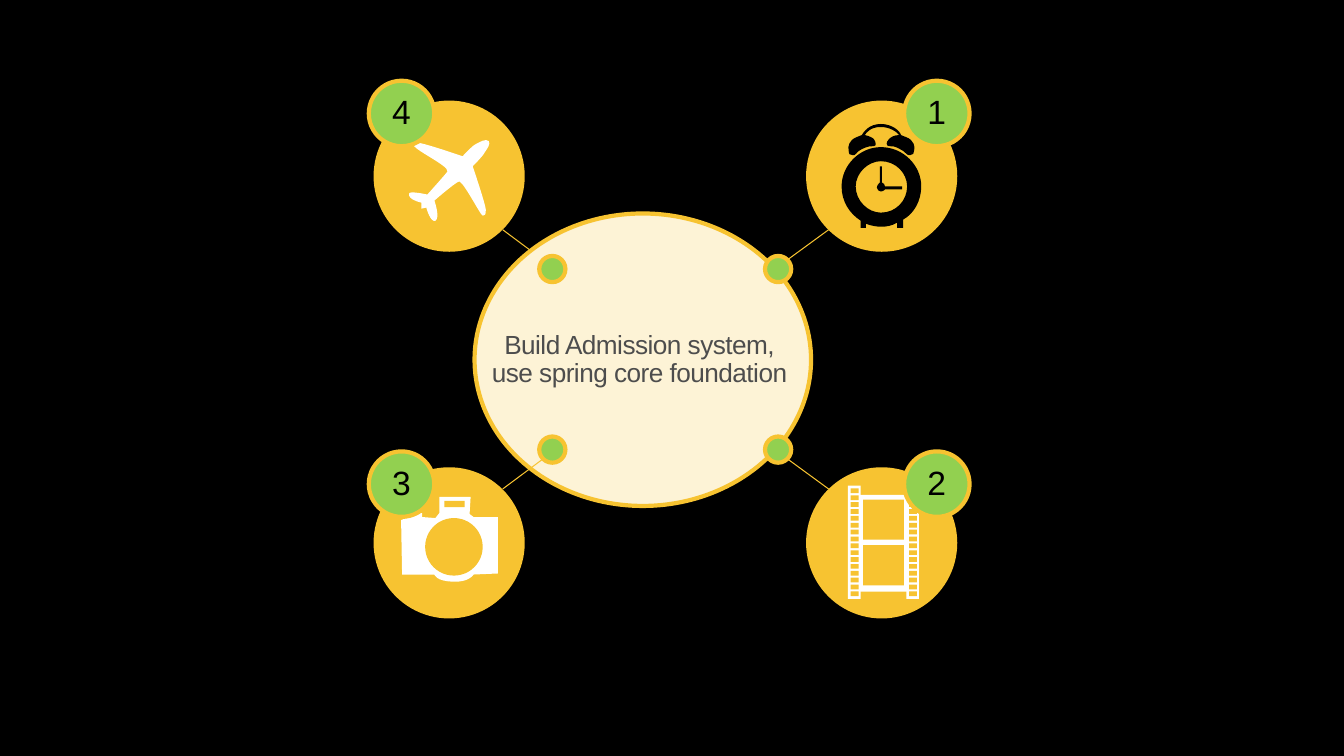
from dataclasses import dataclass

from lxml.etree import SubElement
from pptx import Presentation
from pptx.dml.color import RGBColor
from pptx.enum.shapes import MSO_CONNECTOR, MSO_SHAPE
from pptx.enum.text import MSO_ANCHOR, PP_ALIGN
from pptx.oxml.ns import qn
from pptx.util import Cm, Pt

# Content: centre message and the four numbered corners (column, row)
MESSAGE = ("Build Admission system, ", "use spring core foundation ")
BADGES = (("1", 1, 0), ("2", 1, 1), ("3", 0, 1), ("4", 0, 0))
CORNERS = ((0, 0), (1, 0), (0, 1), (1, 1))

# Icon outlines in steps of 0.0254 cm: a start point, then lines (x, y)
# or curves (x1, y1, x2, y2, x, y)
PLANE = [[
    (410, 143), (410, 143, 411, 141, 416, 142), (421, 142, 459, 155, 459, 155),
    (459, 155, 468, 145, 472, 143), (476, 141, 482, 137, 485, 140),
    (487, 143, 483, 148, 481, 151), (480, 154, 469, 165, 469, 165),
    (469, 165, 483, 206, 482, 209), (482, 213, 481, 214, 479, 214),
    (477, 214, 462, 184, 456, 180), (454, 179, 431, 199, 431, 199),
    (431, 199, 437, 216, 432, 219), (427, 221, 423, 206, 423, 206),
    (418, 207), (418, 201), (418, 201, 404, 198, 406, 192),
    (406, 189, 424, 193, 424, 193), (424, 193, 443, 172, 444, 170),
    (445, 164, 409, 148, 410, 143),
]]
CLOCK_BELLS = [[
    (846, 154), (849, 155, 850, 150, 855, 148), (861, 145, 864, 145, 867, 145),
    (870, 145, 869, 141, 867, 138), (866, 137, 863, 135, 858, 134),
    (860, 131, 864, 126, 874, 126), (883, 126, 890, 131, 892, 134),
    (886, 134, 883, 137, 882, 138), (879, 141, 879, 145, 882, 145),
    (885, 145, 888, 145, 893, 148), (898, 150, 900, 155, 903, 154),
    (906, 154, 907, 152, 907, 149), (908, 146, 907, 139, 899, 136),
    (897, 135, 895, 135, 894, 134), (893, 130, 885, 123, 874, 123),
    (862, 123, 857, 131, 855, 134), (853, 135, 852, 135, 850, 136),
    (842, 139, 841, 146, 842, 149), (842, 153, 843, 154, 846, 154),
]]
CLOCK_CASE = [
    [(874, 146), (853, 146, 835, 164, 835, 185), (835, 200, 843, 212, 854, 219),
     (854, 226), (859, 226), (859, 222), (864, 224, 870, 225, 874, 225),
     (880, 225, 885, 224, 890, 221), (890, 226), (896, 226), (896, 218),
     (907, 212, 914, 199, 914, 185), (914, 164, 896, 146, 874, 146)],
    [(874, 211), (861, 211, 849, 199, 849, 185), (849, 172, 861, 160, 874, 160),
     (889, 160, 900, 172, 900, 185), (900, 199, 889, 211, 874, 211)],
]
CLOCK_HANDS = [[
    (875, 181), (875, 165), (873, 165), (873, 181), (871, 183, 870, 184, 870, 186),
    (870, 188, 872, 190, 874, 190), (876, 190, 877, 189, 878, 188),
    (895, 188), (895, 185), (878, 185), (878, 183, 877, 182, 875, 181),
]]
CAMERA_BODY = [[
    (398, 516), (403, 514), (407, 513), (407, 509), (419, 509), (419, 513),
    (432, 514), (436, 509), (436, 493), (467, 493), (466, 510), (470, 513),
    (494, 513), (494, 569), (470, 570), (470, 570, 465, 578, 450, 577),
    (433, 577, 431, 570, 431, 570), (399, 570),
]]

# Geometry in cm: centre positions by column and by row
OUTLINE_STEP = 0.0254
DISC_X, DISC_Y, DISC_SIZE = (11.32, 22.22), (4.44, 13.68), 3.81
BADGE_X, BADGE_Y, BADGE_SIZE = (10.12, 23.61), (2.86, 12.2), 1.65
DOT_X, DOT_Y, DOT_SIZE = (13.92, 19.61), (6.78, 11.33), 0.66
LINK_OUTER_X, LINK_INNER_X = (12.67, 20.88), (13.69, 19.84)
LINK_OUTER_Y, LINK_INNER_Y = (5.79, 12.32), (6.55, 11.56)
HUB = (11.96, 5.38, 8.48, 7.37)


@dataclass(frozen=True)
class Theme:
    background: RGBColor = RGBColor(0, 0, 0)
    black: RGBColor = RGBColor(0, 0, 0)
    white: RGBColor = RGBColor(0xFF, 0xFF, 0xFF)
    amber: RGBColor = RGBColor(0xF7, 0xC3, 0x31)
    cream: RGBColor = RGBColor(0xFD, 0xF3, 0xD6)
    green: RGBColor = RGBColor(0x92, 0xD0, 0x50)
    grey: RGBColor = RGBColor(0x4D, 0x4D, 0x4D)
    font: str = "Arial"
    message_size: float = 18.67
    badge_size: float = 24
    tracking: str = "-33"
    border: float = 3
    link: float = 0.75


THEME = Theme()


def paint(shape, fill, border=None):
    shape.shadow.inherit = False
    shape.fill.solid()
    shape.fill.fore_color.rgb = fill
    if border is None:
        shape.line.fill.background()
    else:
        shape.line.color.rgb = border
        shape.line.width = Pt(THEME.border)
    return shape


def add_box(shapes, kind, box, fill, border=None):
    return paint(shapes.add_shape(kind, *map(Cm, box)), fill, border)


def add_circle(shapes, x, y, size, fill, border=None):
    box = (x - size / 2, y - size / 2, size, size)
    return add_box(shapes, MSO_SHAPE.OVAL, box, fill, border)


def place(point):
    return tuple(Cm(value * OUTLINE_STEP) for value in point)


def add_outline(shapes, contours, fill):
    """Build the outline from its corner points, then bend the curved segments."""
    first, *holes = [[place(segment[-2:]) for segment in contour] for contour in contours]
    builder = shapes.build_freeform(*first[0])
    builder.add_line_segments(first[1:])
    for hole in holes:
        builder.move_to(*hole[0])
        builder.add_line_segments(hole[1:])
    outline = paint(builder.convert_to_shape(), fill)

    segments = [segment for contour in contours for segment in contour[1:]]
    edges = list(outline._element.iter(qn("a:lnTo")))
    for edge, segment in zip(edges, segments):
        if len(segment) == 2:
            continue
        edge_end = edge[0]
        curve = SubElement(edge.getparent(), qn("a:cubicBezTo"))
        for control in (segment[:2], segment[2:4]):
            x, y = place(control)
            SubElement(curve, qn("a:pt"), x=str(x - outline.left), y=str(y - outline.top))
        curve.append(edge_end)
        edge.getparent().replace(edge, curve)


def write(shape, lines, size, color):
    frame = shape.text_frame
    frame.margin_left = frame.margin_right = frame.margin_top = frame.margin_bottom = 0
    frame.vertical_anchor = MSO_ANCHOR.MIDDLE
    frame.text = "\n".join(lines)
    for paragraph in frame.paragraphs:
        paragraph.alignment = PP_ALIGN.CENTER
        paragraph.line_spacing = 0.9
        paragraph.font.name = THEME.font
        paragraph.font.size = Pt(size)
        paragraph.font.color.rgb = color
        for run in paragraph.runs:
            run.font._element.set("spc", THEME.tracking)
    return frame


def add_link(shapes, column, row):
    ends = (LINK_OUTER_X[column], LINK_OUTER_Y[row], LINK_INNER_X[column], LINK_INNER_Y[row])
    link = shapes.add_connector(MSO_CONNECTOR.STRAIGHT, *map(Cm, ends))
    link.line.color.rgb = THEME.amber
    link.line.width = Pt(THEME.link)
    SubElement(link._element.spPr, qn("a:effectLst"))


def draw_plane(shapes):
    add_outline(shapes, PLANE, THEME.white)


def draw_clock(shapes):
    for part in (CLOCK_BELLS, CLOCK_CASE, CLOCK_HANDS):
        add_outline(shapes, part, THEME.black)


def draw_camera(shapes):
    add_outline(shapes, CAMERA_BODY, THEME.white)
    add_circle(shapes, 11.44, 13.78, 1.45, THEME.amber)
    add_box(shapes, MSO_SHAPE.RECTANGLE, (11.2, 12.62, 0.51, 0.16), THEME.amber)


def draw_film(shapes):
    strips = (21.37, 22.84)
    white = [(21.64, 12.47, 1.24, 2.44)] + [(x, 12.24, 0.32, 2.85) for x in strips]
    holes = [(x + 0.07, 12.31 + 0.173 * i, 0.2, 0.12) for x in strips for i in range(16)]
    frames = [(21.75, y, 1.03, 1.01) for y in (12.59, 13.74)]
    for boxes, fill in ((white, THEME.white), (holes + frames, THEME.amber)):
        for box in boxes:
            add_box(shapes, MSO_SHAPE.RECTANGLE, box, fill)


def main():
    deck = Presentation()
    deck.slide_width, deck.slide_height = Cm(33.87), Cm(19.05)
    slide = deck.slides.add_slide(deck.slide_layouts[6])
    slide.background.fill.solid()
    slide.background.fill.fore_color.rgb = THEME.background
    shapes = slide.shapes

    # Upper links run behind the hub
    for column in (1, 0):
        add_link(shapes, column, 0)
    hub = add_box(shapes, MSO_SHAPE.OVAL, HUB, THEME.cream, THEME.amber)
    write(hub, MESSAGE, THEME.message_size, THEME.grey).word_wrap = False

    # Icon discs
    for (column, row), draw in zip(CORNERS, (draw_plane, draw_clock, draw_camera, draw_film)):
        icon = shapes.add_group_shape().shapes
        add_circle(icon, DISC_X[column], DISC_Y[row], DISC_SIZE, THEME.amber)
        draw(icon)

    # Numbered badges and hub dots
    for number, column, row in BADGES:
        badge = add_circle(shapes, BADGE_X[column], BADGE_Y[row], BADGE_SIZE,
                           THEME.green, THEME.amber)
        write(badge, [number], THEME.badge_size, THEME.black)
    for column, row in CORNERS:
        add_circle(shapes, DOT_X[column], DOT_Y[row], DOT_SIZE, THEME.green, THEME.amber)

    # Lower links run in front
    for column in (1, 0):
        add_link(shapes, column, 1)
    deck.save("out.pptx")


if __name__ == "__main__":
    main()
